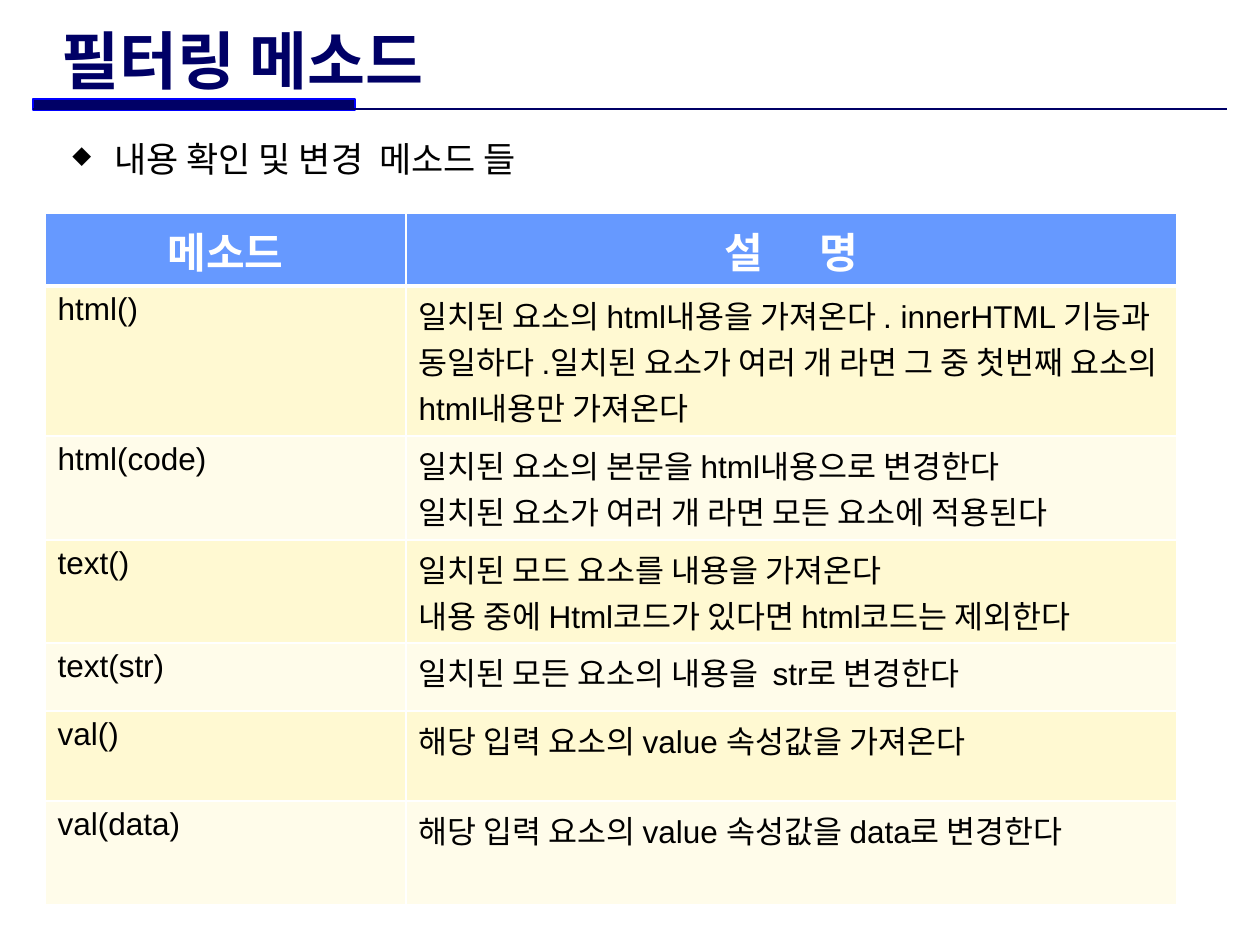
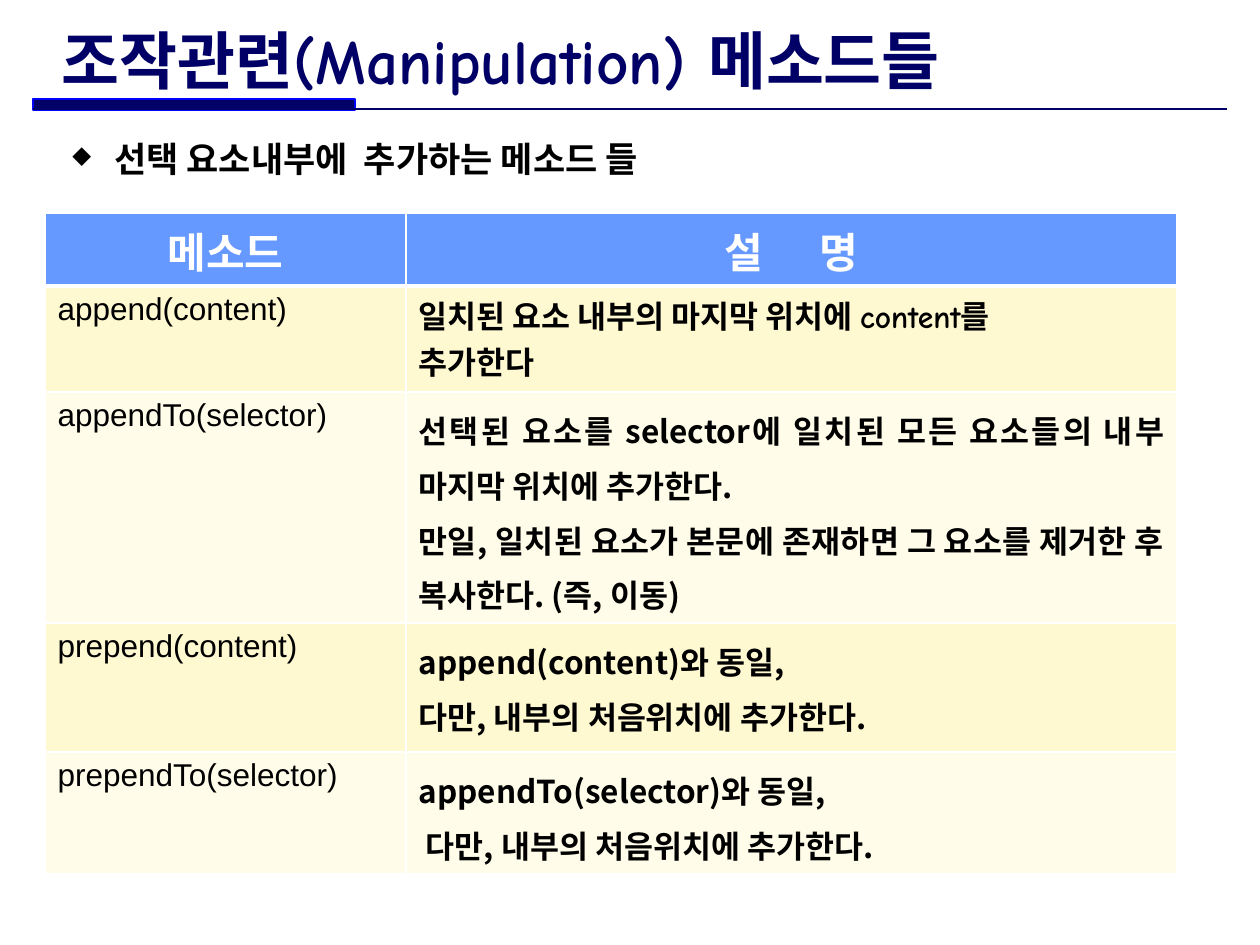
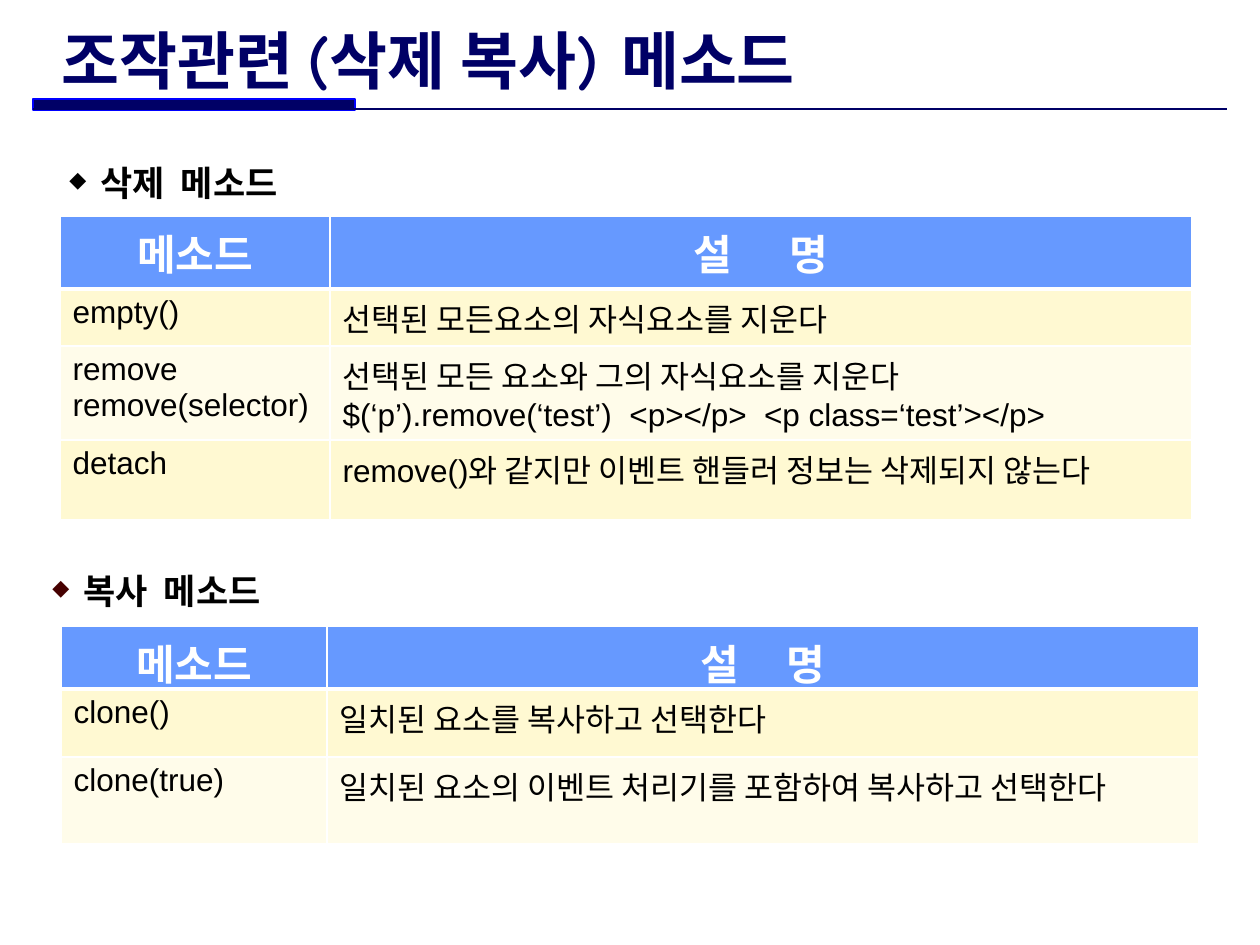
import pptx
import pptx.dml.color
import pptx.enum.shapes
import pptx.enum.text
import pptx.oxml.ns
import pptx.util
from lxml import etree

COLORS = {
    "navy": "000066", "blue": "0000FF", "head": "6699FF", "odd": "FFF9D2",
    "even": "FFFCEA", "white": "FFFFFF", "black": "000000", "brown": "460000",
}
ARIAL, COMIC, NOTO = "Arial", "Comic Neue", "Noto Sans CJK KR"
ALIGN = pptx.enum.text.PP_ALIGN
BOLD = {"font": NOTO, "bold": True, "align": ALIGN.JUSTIFY, "lead": 1.2}


def px(n):
    return round(n * 914400 / 126)


def rgb(name):
    return pptx.dml.color.RGBColor.from_string(COLORS[name])


def node(root, tag, **attrs):
    item = etree.SubElement(root, pptx.oxml.ns.qn(tag))
    for key, val in attrs.items():
        item.set(key, str(val))
    return item


# Text
def write(frame, text, size=18, font=ARIAL, color="black", bold=False,
          align=None, lead=None, gap=0):
    """Each line is a paragraph; gap spreads all but its last letter."""
    frame.word_wrap = True
    for i, line in enumerate(text.split("\n")):
        para = frame.add_paragraph() if i else frame.paragraphs[0]
        para.alignment = align
        para.line_spacing = lead
        parts = [line[:-1], line[-1]] if gap else [line]
        for j, part in enumerate(parts):
            run = para.add_run()
            run.text = part
            run.font.size = pptx.util.Pt(size)
            run.font.bold = bold
            run.font.color.rgb = rgb(color)
            run.font.name = font
            props = run.font._element
            node(props, "a:ea", typeface=NOTO)
            if gap and j == 0:
                props.set("spc", str(round(gap * 100)))


def box(slide, x, y, w, h, text, **style):
    shape = slide.shapes.add_textbox(px(x), px(y), px(w), px(h))
    write(shape.text_frame, text, **style)
    return shape.text_frame


def bullet(slide, x, y, w, text, dent, mark="black", scale=70, **style):
    frame = box(slide, x, y, w, 55, text, size=20, **style)
    props = frame.paragraphs[0]._p.get_or_add_pPr()
    props.set("marL", str(px(dent)))
    props.set("indent", str(px(8 - dent)))
    node(node(props, "a:buClr"), "a:srgbClr", val=COLORS[mark])
    node(props, "a:buSzPct", val=scale * 1000)
    node(props, "a:buChar", char="◆")


# Title with its band and rule
def page(deck, title, w=855):
    slide = deck.slides.add_slide(deck.slide_layouts[6])
    band = slide.shapes.add_shape(
        pptx.enum.shapes.MSO_SHAPE.RECTANGLE, px(33), px(99), px(322), px(11))
    band.shadow.inherit = False
    band.fill.solid()
    band.fill.fore_color.rgb = rgb("navy")
    band.line.color.rgb = rgb("blue")
    band.line.width = pptx.util.Pt(0.75)
    rule = slide.shapes.add_connector(
        pptx.enum.shapes.MSO_CONNECTOR.STRAIGHT, px(33), px(109), px(1227), px(109))
    rule.line.color.rgb = rgb("navy")
    rule.line.width = pptx.util.Pt(1.5)
    node(rule._element.spPr, "a:effectLst")
    frame = box(slide, 49, 26, w, 66, title, size=36, font=COMIC,
                color="navy", bold=True)
    frame.vertical_anchor = pptx.enum.text.MSO_ANCHOR.MIDDLE
    return slide


# Tables
def paint(cell, fill, base=1):
    props = cell._tc.get_or_add_tcPr()
    for side in "LRTB":
        width = base if side == "B" else 1
        edge = node(props, "a:ln" + side, w=pptx.util.Pt(width))
        node(node(edge, "a:solidFill"), "a:srgbClr", val=COLORS["white"])
    cell.fill.solid()
    cell.fill.fore_color.rgb = rgb(fill)


def grid(slide, x, y, cols, rows, head=73, font=ARIAL, gap=13.5):
    """Rows hold height, method, meaning and, if special, the meaning's style."""
    tall = [head] + [row[0] for row in rows]
    table = slide.shapes.add_table(
        len(tall), len(cols), px(x), px(y), px(sum(cols)), px(sum(tall))).table
    for col, w in zip(table.columns, cols):
        col.width = px(w)
    for row, h in zip(table.rows, tall):
        row.height = px(h)
    for i, (label, space) in enumerate([("메소드", 0), ("설 명", gap)]):
        paint(table.cell(0, i), "head", base=3)
        write(table.cell(0, i).text_frame, label, size=24, font=font,
              color="white", bold=True, align=ALIGN.CENTER, gap=space)
    for i, (_, name, text, *style) in enumerate(rows, 1):
        fill = "odd" if i % 2 else "even"
        for j, (words, form) in enumerate([(name, {}), (text, style[0] if style else {})]):
            paint(table.cell(i, j), fill)
            write(table.cell(i, j).text_frame, words, **form)


def filters(deck):
    slide = page(deck, "필터링 메소드")
    grid(slide, 45, 213, [361, 771], [
        (150, "html()", "일치된 요소의 html내용을 가져온다 . innerHTML 기능과 동일하다 ."
         "일치된 요소가 여러 개 라면 그 중 첫번째 요소의 html내용만 가져온다"),
        (104, "html(code)", "일치된 요소의 본문을 html내용으로 변경한다\n"
         "일치된 요소가 여러 개 라면 모든 요소에 적용된다"),
        (103, "text()", "일치된 모드 요소를 내용을 가져온다\n"
         "내용 중에 Html코드가 있다면 html코드는 제외한다"),
        (68, "text(str)", "일치된 모든 요소의 내용을  str로 변경한다"),
        (90, "val()", "해당 입력 요소의 value 속성값을 가져온다"),
        (104, "val(data)", "해당 입력 요소의 value 속성값을 data로 변경한다"),
    ])
    bullet(slide, 52, 131, 858, "내용 확인 및 변경  메소드 들", 50)


def inserts(deck):
    slide = page(deck, "조작관련(Manipulation) 메소드들", w=1067)
    grid(slide, 45, 213, [361, 771], [
        (106, "append(content)", "일치된 요소 내부의 마지막 위치에 content를\n추가한다",
         {"font": COMIC, "bold": True}),
        (231, "appendTo(selector)",
         "선택된 요소를 selector에 일치된 모든 요소들의 내부 마지막 위치에 추가한다.\n"
         "만일, 일치된 요소가 본문에 존재하면 그 요소를 제거한 후 복사한다. (즉, 이동)", BOLD),
        (129, "prepend(content)",
         "append(content)와 동일,\n다만, 내부의 처음위치에 추가한다.", BOLD),
        (122, "prependTo(selector)",
         "appendTo(selector)와 동일,\n 다만, 내부의 처음위치에 추가한다.", BOLD),
    ])
    bullet(slide, 52, 131, 858, "선택 요소내부에  추가하는 메소드 들", 50, bold=True)


def removes(deck):
    slide = page(deck, "조작관련 (삭제 복사) 메소드")
    bullet(slide, 49, 155, 423, "삭제  메소드", 39, scale=63, font=NOTO, bold=True)
    grid(slide, 60, 216, [270, 862], [
        (57, "empty()", "선택된 모든요소의 자식요소를 지운다"),
        (94, "remove\nremove(selector)", "선택된 모든 요소와 그의 자식요소를 지운다\n"
         "$(‘p’).remove(‘test’)  <p></p>  <p class=‘test’></p>"),
        (80, "detach", "remove()와 같지만 이벤트 핸들러 정보는 삭제되지 않는다"),
    ])
    bullet(slide, 32, 563, 423, "복사  메소드", 39, mark="brown", scale=63,
           font=COMIC, bold=True)
    grid(slide, 61, 626, [266, 872], [
        (68, "clone()", "일치된 요소를 복사하고 선택한다"),
        (87, "clone(true)", "일치된 요소의 이벤트 처리기를 포함하여 복사하고 선택한다"),
    ], head=63, font=COMIC, gap=10.8)


def main():
    deck = pptx.Presentation()
    deck.slide_width, deck.slide_height = px(1260), px(945)
    filters(deck)
    inserts(deck)
    removes(deck)
    deck.save("out.pptx")


if __name__ == "__main__":
    main()
